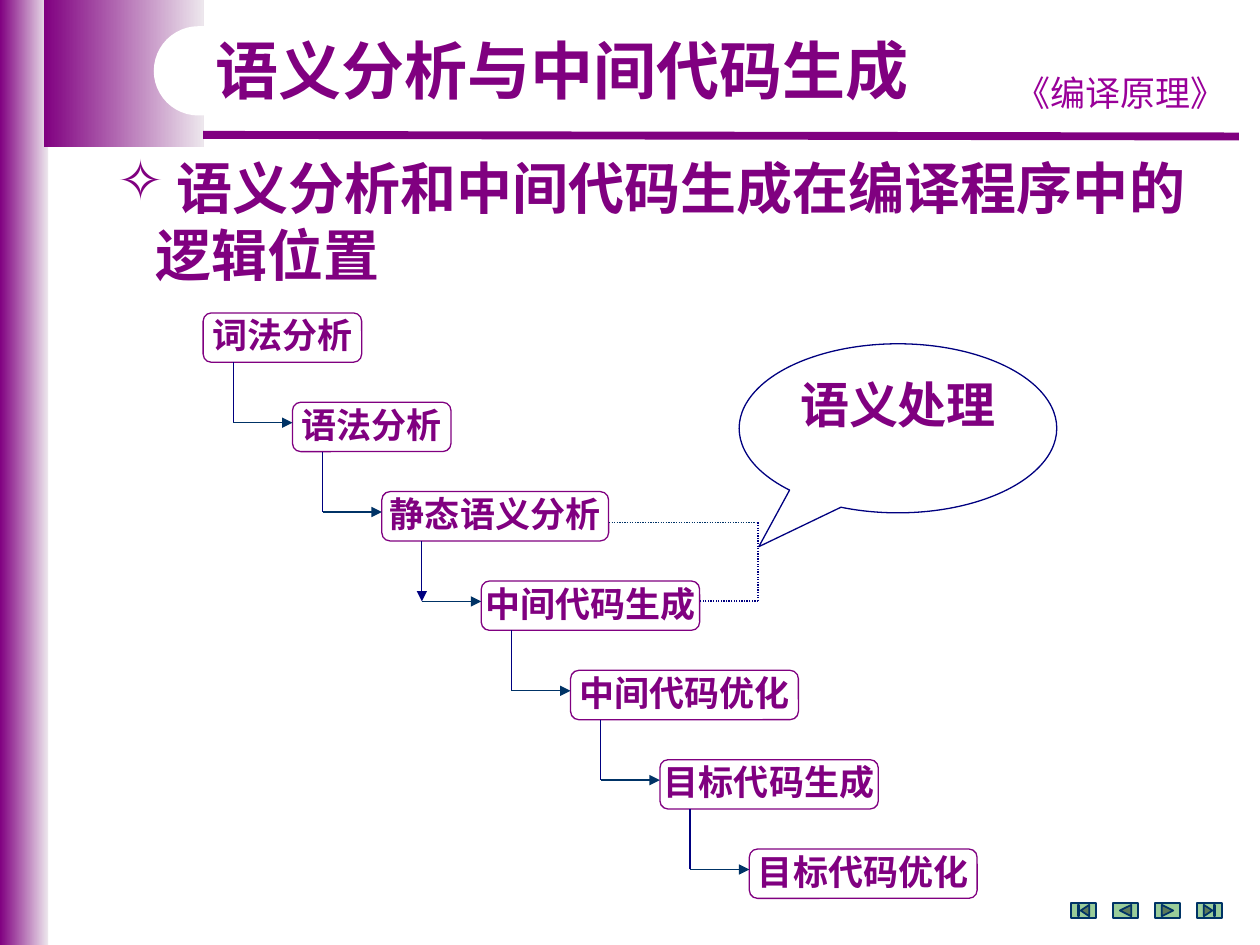
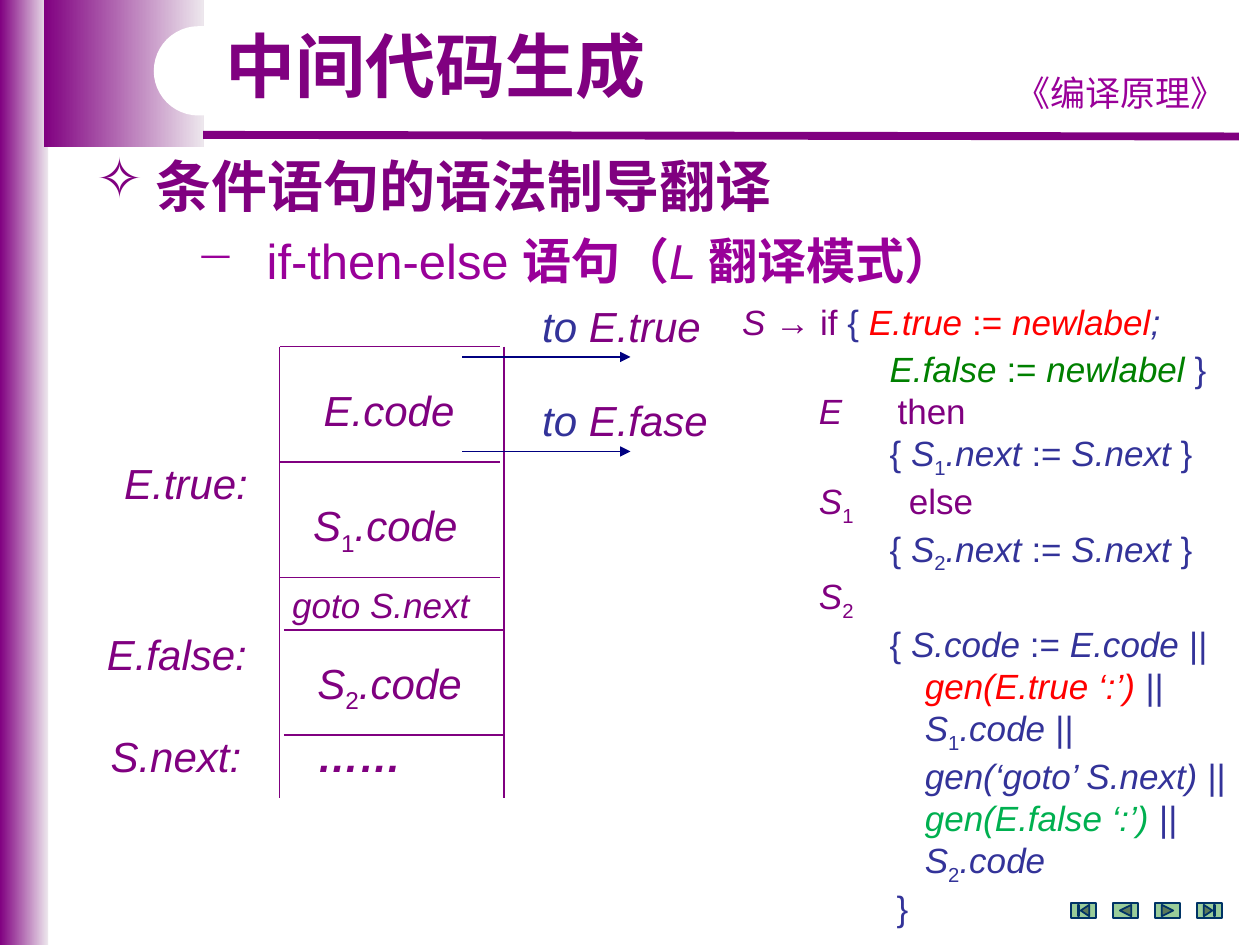
from collections import namedtuple
from pptx import Presentation
from pptx.dml.color import RGBColor
from pptx.enum.dml import MSO_LINE
from pptx.enum.shapes import MSO_CONNECTOR, MSO_SHAPE
from pptx.enum.text import MSO_ANCHOR, MSO_AUTO_SIZE, PP_ALIGN
from pptx.oxml.ns import qn
from pptx.util import Inches, Pt
from lxml import etree

COLORS = {"purple": "800080", "violet": "990099", "pale": "EDE7ED", "white": "FFFFFF",
          "navy": "000080", "teal": "003366", "button": "99CC99", "blue": "333399",
          "red": "FF0000", "green": "008000", "lime": "00B050"}
CENTER, MIDDLE, TOP = PP_ALIGN.CENTER, MSO_ANCHOR.MIDDLE, MSO_ANCHOR.TOP
GROW, DOTS, STRAIGHT = MSO_AUTO_SIZE.SHAPE_TO_FIT_TEXT, MSO_LINE.ROUND_DOT, MSO_CONNECTOR.STRAIGHT
RECT, ROUND, CALLOUT = MSO_SHAPE.RECTANGLE, MSO_SHAPE.ROUNDED_RECTANGLE, MSO_SHAPE.OVAL_CALLOUT
BUTTONS = (MSO_SHAPE.ACTION_BUTTON_BEGINNING, MSO_SHAPE.ACTION_BUTTON_BACK_OR_PREVIOUS,
           MSO_SHAPE.ACTION_BUTTON_FORWARD_OR_NEXT, MSO_SHAPE.ACTION_BUTTON_END)
CJK = "Noto Sans CJK SC"
COLS, ROWS = 120, 90
UNIT = Inches(10) / COLS
EM = 0.28
WIDE_SPACE = "2600"

Box = namedtuple("Box", "c r w h")
PAGE = Box(0, 0, COLS, ROWS)


def part(box, c, r, w=0, h=0):
    """Return a box placed relative to the corner of another."""
    return Box(box.c + c, box.r + r, w, h)


def emu(*cells):
    """Turn grid cells into slide lengths."""
    return [round(v * UNIT) for v in cells]


def rgb(name):
    """Look up a palette colour."""
    return RGBColor.from_string(COLORS[name])


def set_attrs(obj, values):
    """Set attributes from a dict of format values."""
    for key, value in values.items():
        setattr(obj, key, value)


def add_run(p, text, color="purple", **fmt):
    """Add a run; an underscore makes a subscript, a lone space is widened."""
    for i, piece in enumerate(text.split("_")):
        parts = [(piece, False)] if i == 0 else [(piece[0], True), (piece[1:], False)]
        for words, sub in parts:
            if not words:
                continue
            r = p.add_run()
            r.text = words
            set_attrs(r.font, {"name": "Arial", **fmt})
            r.font.color.rgb = rgb(color)
            if sub:
                r.font.italic = False
                r.font._element.set("baseline", "-25000")
            if words == " ":
                r.font._element.set("spc", WIDE_SPACE)


def indent(p, left, bullet=None):
    """Indent a paragraph in inches, hanging it after an optional bullet."""
    pPr = p._p.get_or_add_pPr()
    pPr.set("marL", str(Inches(left)))
    pPr.set("indent", str(-Inches(left) if bullet else 0))
    if bullet:
        etree.SubElement(pPr, qn("a:buChar"), char=bullet)


def add_text(s, box):
    """Add a growing text box and return its text frame."""
    tf = s.shapes.add_textbox(*emu(*box)).text_frame
    set_attrs(tf, {"word_wrap": True, "auto_size": GROW})
    return tf


def add_label(s, box, text, spacing=None, align=None, **fmt):
    """Add a one-line text box."""
    p = add_text(s, box).paragraphs[0]
    set_attrs(p, {"line_spacing": spacing, "alignment": align})
    add_run(p, text, **fmt)
    return p


def add_box(s, kind, box, fill=None, line=None, width=0.75, adj=()):
    """Add a preset shape with plain fill and line."""
    sp = s.shapes.add_shape(kind, *emu(*box))
    sp.shadow.inherit = False
    if fill:
        sp.fill.solid()
        sp.fill.fore_color.rgb = rgb(fill)
    else:
        sp.fill.background()
    if line:
        sp.line.color.rgb = rgb(line)
        sp.line.width = Pt(width)
    else:
        sp.line.fill.background()
    for i, value in enumerate(adj):
        sp.adjustments[i] = value
    return sp


def add_line(s, box, c1, r1, c2, r2, color="purple", width=0.75, arrow=False, dash=None):
    """Add a straight line between two cells of a box."""
    ends = emu(box.c + c1, box.r + r1, box.c + c2, box.r + r2)
    cx = s.shapes.add_connector(STRAIGHT, *ends)
    cx.line.color.rgb = rgb(color)
    set_attrs(cx.line, {"width": Pt(width), "dash_style": dash})
    if arrow:
        etree.SubElement(cx.line._get_or_add_ln(), qn("a:tailEnd"), type="triangle")
    etree.SubElement(cx._element.spPr, qn("a:effectLst"))


def add_frame(s, box):
    """Draw the bands, rule, course name and buttons shared by the slides."""
    for band in (part(box, 0, 0, 4.6, box.h), part(box, 4.2, 0, 15.2, 14)):
        fill = add_box(s, RECT, band).fill
        fill.gradient()
        fill.gradient_angle = 0
        for stop, position, name in zip(fill.gradient_stops, (0, 1), ("purple", "pale")):
            stop.position = position
            stop.color.rgb = rgb(name)
    add_line(s, box, 19.35, 12.85, 118, 13, width=4.5)
    add_label(s, part(box, 94.9, 6.25, 23.6, 5.2), "《编译原理》", align=CENTER,
              name="Comic Neue", color="violet", size=Pt(20))
    add_box(s, ROUND, part(box, 14.65, 2.5, 43.4, 8.5), "white", adj=(0.5,))
    for i, kind in enumerate(BUTTONS):
        add_box(s, kind, part(box, 102 + 4 * i, 86, 2.4, 1.44), "button", "teal", 1)


def add_title(s, box, text, size, font):
    """Write the slide title."""
    add_label(s, box, text, spacing=0.9, name=font, size=Pt(size), bold=True)


def add_heading(s, box, first, *rest):
    """Write a starred heading and its continuation lines."""
    tf = add_text(s, box)
    for i, text in enumerate((first, *rest)):
        p = tf.add_paragraph() if i else tf.paragraphs[0]
        indent(p, *((0.3,) if i else (0.47, "✧")))
        add_run(p, text, name=CJK, size=Pt(32), bold=True)


def shape_text(sp, text, size, wrap, anchor):
    """Write centred bold text in a shape."""
    tf = sp.text_frame
    set_attrs(tf, {"word_wrap": wrap, "vertical_anchor": anchor})
    p = tf.paragraphs[0]
    p.alignment = CENTER
    add_run(p, text, size=Pt(size), bold=True)
    return p


def add_stairs(s, box, phases):
    """Draw the compiler phases as descending steps joined by elbows."""
    step, height, drop, run = 8.51, 4.7, 1.95, 5.65
    for i, (name, width) in enumerate(phases):
        left, top = i * step + (0.95 if i > 2 else 0), i * step
        sp = add_box(s, ROUND, part(box, left, top, width, height), "white", "purple", adj=(0.167,))
        p = shape_text(sp, name, 20, False, MIDDLE)
        p.line_spacing = 0.9
        if i:
            x, y = left - run, top + drop
            add_line(s, box, x, top - step + height, x, y, "navy", arrow=i == 3)
            add_line(s, box, x, y, left, y, "teal", arrow=True)


def add_semantics(s, box):
    """Draw the callout and the dotted bracket beneath it."""
    sp = add_box(s, CALLOUT, part(box, 12.4, 0, 30.25, 16.1), None, "navy", adj=(-0.438, 0.7))
    shape_text(sp, "语义处理", 28, True, TOP)
    add_line(s, box, 0, 17, 14, 17, "teal", dash=DOTS)
    add_line(s, box, 14.2, 17, 14.2, 24.5, "navy", dash=DOTS)
    add_line(s, box, 14.2, 24.5, 8.6, 24.5, "navy", dash=DOTS)


def add_code_layout(s, box):
    """Draw the stack of generated code with its labels and exits."""
    for col in (0, box.w):
        add_line(s, box, col, 0, col, box.h)
    for row in (0, 11, 22):
        add_line(s, box, 0, row, box.w - 0.4, row)
    for row in (27, 37):
        add_line(s, box, 0.4, row, box.w, row)
    labels = [(3, 3, "E.code"), (2, 14, "S_1.code"), (2.4, 29, "S_2.code"),
              (-16, 10, "E.true:"), (-17.65, 26.3, "E.false:"), (-17.3, 36, "S.next:")]
    for c, r, text in labels:
        add_label(s, part(box, c, r, 17.5, 6), text, size=Pt(24), italic=True)
    add_label(s, part(box, 2.4, 36, 12, 6), "……", size=Pt(24), italic=True, bold=True)
    add_label(s, part(box, 0, 22, box.w, 5.2), "goto S.next", size=Pt(20), italic=True)
    for row, target in ((1, "E.true"), (10, "E.fase")):
        p = add_label(s, part(box, 23.8, row - 6, 20, 6), "to ", color="blue", size=Pt(24), italic=True)
        add_run(p, target, size=Pt(24), italic=True)
        add_line(s, box, 17.4, row, 33.4, row, "navy", arrow=True)


def add_scheme(s, box, lines):
    """Write the translation scheme; a run starting with a slash is italic."""
    tf = add_text(s, box)
    for i, (level, runs) in enumerate(lines):
        p = tf.add_paragraph() if i else tf.paragraphs[0]
        p.space_after = Pt(0 if i else 3)
        indent(p, 0.05 + EM * level if level else 0)
        for text, color in runs:
            add_run(p, text.lstrip("/"), color, size=Pt(20), italic=text.startswith("/"))


def next_label(index):
    """Return the scheme line that passes on the next label."""
    return 4, [("{ ", "blue"), (f"/S_{index}.next ", "blue"), (":= ", "blue"),
               ("/S.next", "blue"), (" }", "blue")]


def position_slide(s, box):
    """Build the slide on the place of semantic analysis in a compiler."""
    add_frame(s, box)
    add_heading(s, part(box, 10, 14, 110, 14), "语义分析和中间代码生成在编译程序中的", "逻辑位置")
    add_title(s, part(box, 19.35, 3.2, 69, 7.7), "语义分析与中间代码生成", 36, CJK)
    add_stairs(s, part(box, 19.35, 29.8, 74, 56), [
        ("词法分析", 15.1), ("语法分析", 15.1), ("静态语义分析", 21.6), ("中间代码生成", 20.8),
        ("中间代码优化", 21.7), ("目标代码生成", 20.8), ("目标代码优化", 21.7)])
    add_semantics(s, part(box, 58, 32.75, 43, 25))


def conditional_slide(s, box):
    """Build the slide on translating conditional statements."""
    add_frame(s, box)
    add_title(s, part(box, 20.3, 2.5, 42.7, 8.4), "中间代码生成", 40, "Arial")
    add_heading(s, part(box, 8, 13.8, 109, 7.5), "条件语句的语法制导翻译")
    p = add_text(s, part(box, 17.5, 21.35, 90.7, 6.85)).paragraphs[0]
    indent(p, 0.56, "−")
    for text, fmt in (("if-then-else ", {}), ("语句（", {"bold": True}),
                      ("L ", {"italic": True}), ("翻译模式）", {"bold": True})):
        add_run(p, text, "violet", size=Pt(28), **fmt)
    add_code_layout(s, part(box, 26.65, 33, 21.35, 43))
    add_scheme(s, part(box, 69.5, 28, 49.2, 57.2), [
        (0, [("/S ", "purple"), ("→ if ", "purple"), ("{ ", "blue"), ("/E.true ", "red"),
             (":= ", "red"), ("/newlabel", "red"), ("/;", "blue")]),
        (4, [("/E.false ", "green"), (":= ", "green"), ("/newlabel ", "green"), ("}", "blue")]),
        (2, [("/E", "purple"), (" ", "purple"), ("then", "purple")]),
        next_label(1),
        (2, [("/S_1", "purple"), (" ", "purple"), ("else", "purple")]),
        next_label(2),
        (2, [("/S_2", "purple")]),
        (4, [("{ ", "blue"), ("/S.code ", "blue"), (":= ", "blue"), ("/E.code ||", "blue")]),
        (5, [("/gen(E.true ‘:’) ", "red"), ("/||", "blue")]),
        (5, [("/S_1.code ||", "blue")]),
        (5, [("/gen(‘goto’ S.next) ||", "blue")]),
        (5, [("/gen(E.false ‘:’) ", "lime"), ("/||", "blue")]),
        (5, [("/S_2.code", "blue")]),
        (4.2, [("}", "blue")])])


def main():
    """Build the presentation."""
    prs = Presentation()
    prs.slide_width, prs.slide_height = emu(COLS, ROWS)
    for build in (position_slide, conditional_slide):
        build(prs.slides.add_slide(prs.slide_layouts[6]), PAGE)
    prs.save("out.pptx")


if __name__ == "__main__":
    main()
